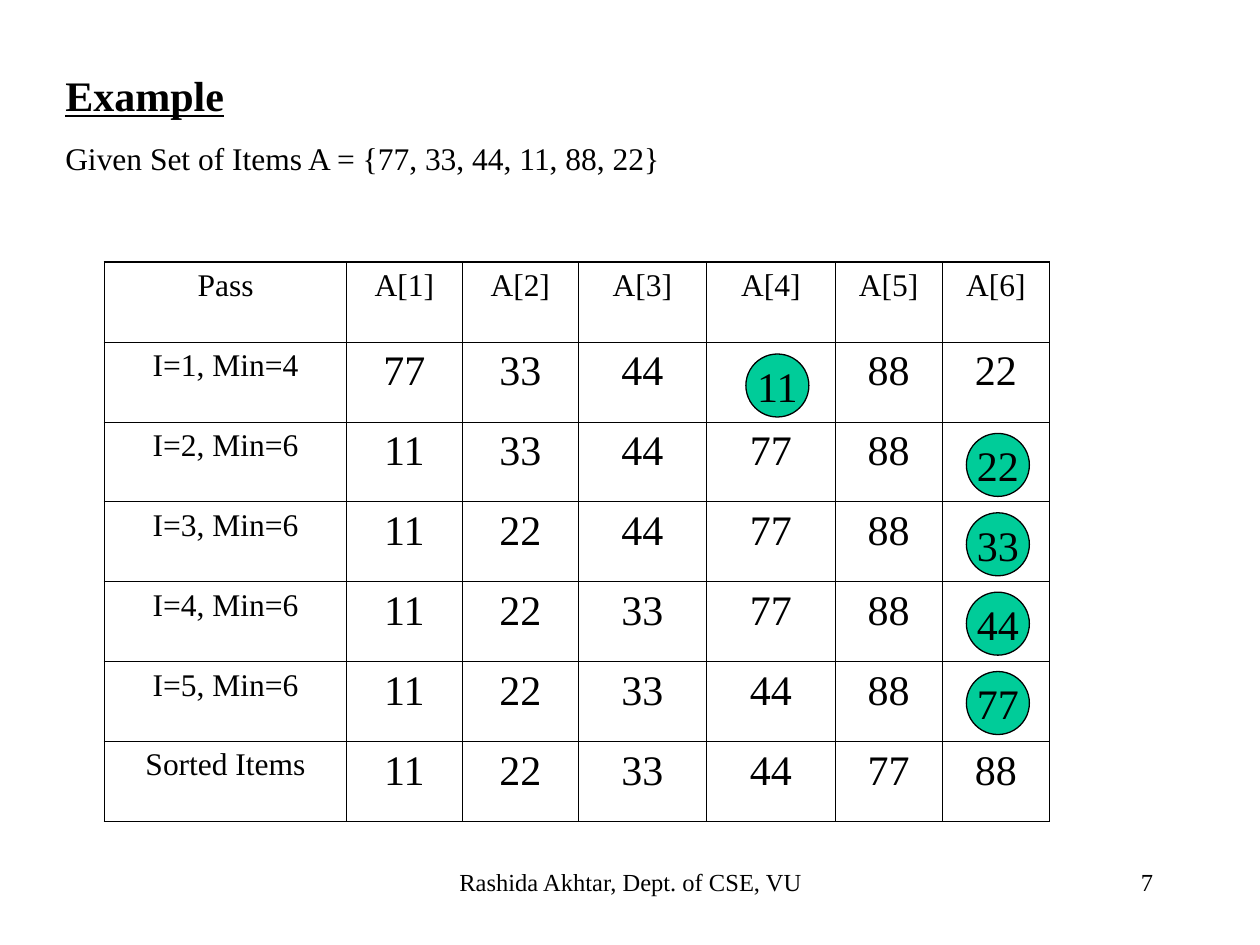
from lxml import etree
from pptx import Presentation
from pptx.dml.color import RGBColor
from pptx.enum.shapes import MSO_SHAPE
from pptx.enum.text import MSO_ANCHOR, PP_ALIGN
from pptx.oxml.ns import qn
from pptx.util import Inches, Pt

LEFT, CENTER, RIGHT = PP_ALIGN.LEFT, PP_ALIGN.CENTER, PP_ALIGN.RIGHT
MIDDLE = MSO_ANCHOR.MIDDLE
OVAL = MSO_SHAPE.OVAL

FONT = "Times New Roman"
BLACK, GREEN = "000000", "00CC99"
THIN, THICK = 0.45, 1.08

COLUMN_WIDTHS = [1.92, 0.92, 0.92, 1.02, 1.02, 0.85, 0.85]
PASSES = [
    ["Pass", "A[1]", "A[2]", "A[3]", "A[4]", "A[5]", "A[6]"],
    ["I=1, Min=4", "77", "33", "44", "", "88", "22"],
    ["I=2, Min=6", "11", "33", "44", "77", "88", ""],
    ["I=3, Min=6", "11", "22", "44", "77", "88", ""],
    ["I=4, Min=6", "11", "22", "33", "77", "88", ""],
    ["I=5, Min=6", "11", "22", "33", "44", "88", ""],
    ["Sorted Items", "11", "22", "33", "44", "77", "88"],
]
MINIMUMS = [("11", 5.92), ("22", 7.67), ("33", 7.67), ("44", 7.67), ("77", 7.67)]


def color(value):
    return RGBColor.from_string(value)


def write(para, text, size, align=LEFT):
    para.text = text
    para.alignment = align
    para.font.name = FONT
    para.font.size = Pt(size)
    para.font.color.rgb = color(BLACK)


def add_text_box(page, left, top, width, height):
    box = page.shapes.add_textbox(Inches(left), Inches(top), Inches(width), Inches(height))
    box.text_frame.word_wrap = True
    return box.text_frame


def add_heading(page, left, top, width, height):
    frame = add_text_box(page, left, top, width, height)
    title = frame.paragraphs[0]
    write(title, "Example", 24)
    title.font.bold = True
    title.font.underline = True
    given = frame.add_paragraph()
    write(given, "Given Set of Items A = {77, 33, 44, 11, 88, 22}", 18)
    given.space_before = Pt(11.2)


def add_footer_text(page, text, align, left, top, width, height):
    frame = add_text_box(page, left, top, width, height)
    write(frame.paragraphs[0], text, 14, align)


def set_border(cell, side, width):
    properties = cell._tc.get_or_add_tcPr()
    line = etree.SubElement(properties, qn(f"a:ln{side}"), w=str(Pt(width)))
    fill = etree.SubElement(line, qn("a:solidFill"))
    etree.SubElement(fill, qn("a:srgbClr"), val=BLACK)


def add_pass_table(page, left, top, width, height):
    row_count, column_count = len(PASSES), len(COLUMN_WIDTHS)
    frame = page.shapes.add_table(
        row_count, column_count, Inches(left), Inches(top), Inches(width), Inches(height)
    )
    table = frame.table
    table.first_row = False
    table.horz_banding = False
    for column, column_width in zip(table.columns, COLUMN_WIDTHS):
        column.width = Inches(column_width)
    for r, items in enumerate(PASSES):
        table.rows[r].height = Inches(height / row_count)
        for c, item in enumerate(items):
            cell = table.cell(r, c)
            is_label = r == 0 or c == 0
            write(cell.text_frame.paragraphs[0], item, 18 if is_label else 24, CENTER)
            outer_edges = {
                "L": c == 0,
                "R": c == column_count - 1,
                "T": r == 0,
                "B": r == row_count - 1,
            }
            for side, is_outer in outer_edges.items():
                set_border(cell, side, THICK if is_outer else THIN)
            cell.fill.background()


def add_minimum_circle(page, text, left, top, size):
    circle = page.shapes.add_shape(OVAL, Inches(left), Inches(top), Inches(size), Inches(size))
    circle.shadow.inherit = False
    circle.fill.solid()
    circle.fill.fore_color.rgb = color(GREEN)
    circle.line.color.rgb = color(BLACK)
    circle.line.width = Pt(0.75)
    frame = circle.text_frame
    frame.word_wrap = False
    frame.vertical_anchor = MIDDLE
    write(frame.paragraphs[0], text, 24, CENTER)


def add_minimum_circles(page, top, pitch, size):
    for index, (text, left) in enumerate(MINIMUMS):
        add_minimum_circle(page, text, left, top + index * pitch, size)


def main():
    deck = Presentation()
    deck.slide_width = Inches(10)
    deck.slide_height = Inches(7.5)
    page = deck.slides.add_slide(deck.slide_layouts[6])
    add_footer_text(page, "Rashida Akhtar, Dept. of CSE, VU", CENTER, 3.42, 6.83, 3.17, 0.5)
    add_footer_text(page, "7", RIGHT, 7.17, 6.83, 2.08, 0.5)
    add_heading(page, 0.42, 0.5, 7.67, 0.96)
    add_pass_table(page, 0.83, 2.08, 7.5, 4.44)
    add_minimum_circles(page, 2.81, 0.63, 0.5)
    deck.save("out.pptx")


if __name__ == "__main__":
    main()
